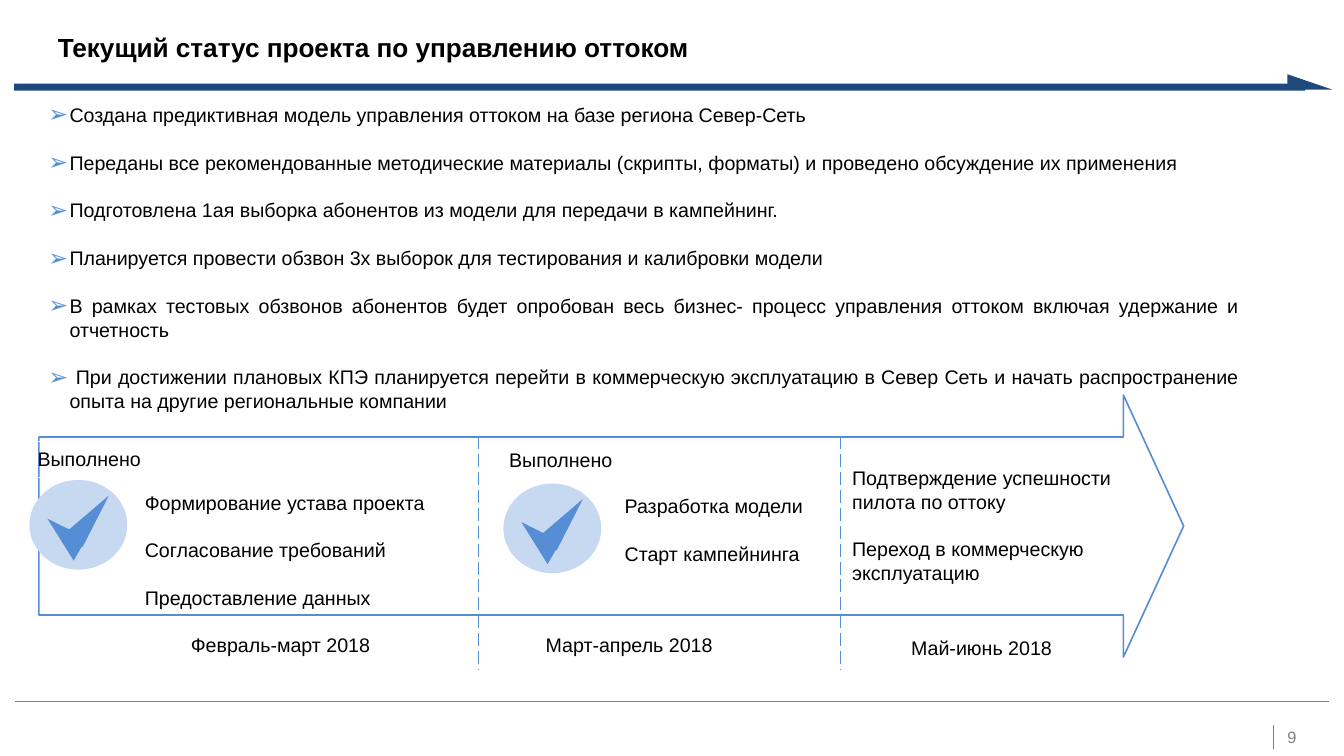
from dataclasses import dataclass
from typing import Optional

from lxml.etree import SubElement
from pptx import Presentation
from pptx.dml.color import RGBColor
from pptx.enum.dml import MSO_LINE
from pptx.enum.shapes import MSO_CONNECTOR, MSO_SHAPE as Geo
from pptx.enum.text import MSO_ANCHOR as Anchor, MSO_AUTO_SIZE, PP_ALIGN as Align
from pptx.oxml.ns import qn
from pptx.util import Pt

PX = 9144  # 100 px to the inch


# Colours and type sizes
@dataclass(frozen=True)
class Theme:
    font: str = "Arial"
    ink: str = "000000"
    white: str = "FFFFFF"
    navy: str = "1F497D"
    blue: str = "558ED5"
    pale: str = "C6D9F1"
    rule: str = "7F7F7F"
    number: str = "808080"
    title_size: int = 16
    text_size: int = 12
    number_size: int = 10
    gap: float = 14.8


THEME = Theme()


@dataclass(frozen=True)
class Box:
    left: int
    top: int
    width: int
    height: int

    def emu(self) -> tuple[int, ...]:
        return tuple(v * PX for v in (self.left, self.top, self.width, self.height))


@dataclass(frozen=True)
class Note:
    box: Box
    lines: tuple[str, ...]


@dataclass(frozen=True)
class Rule:
    start: tuple[int, int]
    end: tuple[int, int]
    color: str
    weight: float
    dash: Optional[MSO_LINE] = None


@dataclass(frozen=True)
class Mark:
    geometry: Geo
    box: Box
    color: str
    rotation: float = 0
    adjust: Optional[float] = None


# Content
TITLE = "Текущий статус проекта по управлению оттоком"
STATUS = (
    "Создана предиктивная модель управления оттоком на базе региона Север-Сеть",
    "Переданы все рекомендованные методические материалы (скрипты, форматы) и проведено обсуждение их применения",
    "Подготовлена 1ая выборка абонентов из модели для передачи в кампейнинг.",
    "Планируется провести обзвон 3х выборок для тестирования и калибровки модели",
    "В рамках тестовых обзвонов абонентов будет опробован весь бизнес- процесс управления оттоком "
    "включая удержание и отчетность",
    " При достижении плановых КПЭ планируется перейти в коммерческую эксплуатацию в Север Сеть "
    "и начать распространение опыта на другие региональные компании",
)
STAGES = (
    Note(Box(520, 414, 229, 69), ("Разработка модели", "Старт кампейнинга")),
    Note(Box(713, 390, 253, 91),
         ("Подтверждение успешности пилота по оттоку", "Переход в коммерческую эксплуатацию")),
)
FIRST_STAGE = Note(Box(113, 411, 258, 104),
                   ("Формирование устава проекта", "Согласование требований", "Предоставление данных"))
DATES = (
    Note(Box(152, 532, 208, 36), ("Февраль-март 2018",)),
    Note(Box(453, 532, 200, 36), ("Март-апрель 2018",)),
    Note(Box(763, 534, 184, 36), ("Май-июнь 2018",)),
)
DONE = tuple(Note(Box(x, y, 108, 31), ("Выполнено",)) for x, y in ((22, 374), (422, 375)))
FOOTER_RULES = (
    Rule((1080, 615), (1080, 635), THEME.rule, 0.75),
    Rule((13, 595), (1127, 595), THEME.rule, 0.75),
)
STAGE_BORDERS = tuple(
    Rule((x, 370), (x, 568), THEME.blue, 1, MSO_LINE.LONG_DASH) for x in (406, 713))
HEADER_ARROW = (
    Mark(Geo.RECTANGLE, Box(12, 71, 1095, 6), THEME.navy),
    Mark(Geo.ISOSCELES_TRIANGLE, Box(1092, 63, 38, 13), THEME.navy, adjust=0),
)


def check_mark(x: int, y: int) -> tuple[Mark, ...]:
    return (
        Mark(Geo.OVAL, Box(x, y, 83, 76), THEME.pale),
        Mark(Geo.ISOSCELES_TRIANGLE, Box(x + 43, y + 8, 19, 48), THEME.blue, 38.3),
        Mark(Geo.ISOSCELES_TRIANGLE, Box(x + 16, y + 31, 22, 37), THEME.blue, 300.2, 0.89),
    )


# Drawing
def apply(target, values: dict) -> None:
    for name, value in values.items():
        setattr(target, name, value)


def place(shape, box: Box) -> None:
    apply(shape, dict(zip(("left", "top", "width", "height"), box.emu())))


def outline(shape, color: str, weight: float) -> None:
    shape.line.color.rgb = RGBColor.from_string(color)
    shape.line.width = Pt(weight)


def write(frame, lines: tuple[str, ...], size: int = THEME.text_size, color: str = THEME.ink,
          bold: bool = False, align: Align = Align.LEFT, anchor: Anchor = Anchor.TOP,
          inset: tuple[int, int] = (10, 5)) -> None:
    side, edge = (v * PX for v in inset)
    apply(frame, {"word_wrap": True, "auto_size": MSO_AUTO_SIZE.NONE, "vertical_anchor": anchor,
                  "margin_left": side, "margin_right": side,
                  "margin_top": edge, "margin_bottom": edge})
    for i, line in enumerate(lines):
        paragraph = frame.add_paragraph() if i else frame.paragraphs[0]
        apply(paragraph, {"alignment": align, "space_before": Pt(THEME.gap if i else 0)})
        run = paragraph.add_run()
        run.text = line
        apply(run.font, {"name": THEME.font, "size": Pt(size), "bold": bold})
        run.font.color.rgb = RGBColor.from_string(color)


def add_bullets(frame) -> None:
    for paragraph in frame.paragraphs:
        props = paragraph._p.get_or_add_pPr()
        props.set("marL", str(18 * PX))
        props.set("indent", str(-18 * PX))
        SubElement(SubElement(props, qn("a:buClr")), qn("a:srgbClr"), val=THEME.blue)
        SubElement(props, qn("a:buSzPct"), val="120000")
        SubElement(props, qn("a:buFont"), typeface=THEME.font)
        SubElement(props, qn("a:buChar"), char="➢")


def add_note(slide, note: Note) -> None:
    shape = slide.shapes.add_textbox(*note.box.emu())
    outline(shape, THEME.white, 0.5)
    write(shape.text_frame, note.lines)


def add_rule(slide, rule: Rule) -> None:
    ends = (v * PX for v in rule.start + rule.end)
    line = slide.shapes.add_connector(MSO_CONNECTOR.STRAIGHT, *ends)
    outline(line, rule.color, rule.weight)
    if rule.dash:
        line.line.dash_style = rule.dash
    SubElement(line._element.spPr, qn("a:effectLst"))


def add_marks(slide, marks: tuple[Mark, ...]) -> None:
    group = slide.shapes.add_group_shape()
    for mark in marks:
        shape = group.shapes.add_shape(mark.geometry, *mark.box.emu())
        shape.shadow.inherit = False
        shape.fill.solid()
        shape.fill.fore_color.rgb = RGBColor.from_string(mark.color)
        shape.line.fill.background()
        shape.rotation = mark.rotation
        if mark.adjust is not None:
            shape.adjustments[0] = mark.adjust


def main() -> None:
    deck = Presentation()
    apply(deck, {"slide_width": 1140 * PX, "slide_height": 641 * PX})
    slide = deck.slides.add_slide(deck.slide_layouts[1])

    # Title, page number and status list
    title, status = slide.placeholders
    place(title, Box(49, 26, 1063, 27))
    write(title.text_frame, (TITLE,), THEME.title_size, bold=True, anchor=Anchor.BOTTOM, inset=(0, 0))
    for rule in FOOTER_RULES:
        add_rule(slide, rule)
    page = slide.shapes.add_textbox(*Box(1092, 616, 48, 17).emu())
    write(page.text_frame, ("9",), THEME.number_size, THEME.number, anchor=Anchor.MIDDLE, inset=(0, 0))
    place(status, Box(31, 82, 1031, 267))
    outline(status, THEME.white, 0.5)
    write(status.text_frame, STATUS, align=Align.JUSTIFY)
    add_bullets(status.text_frame)

    # Timeline arrow with its stages
    timeline = slide.shapes.add_shape(Geo.RIGHT_ARROW, *Box(33, 335, 971, 222).emu())
    timeline.shadow.inherit = False
    timeline.fill.background()
    outline(timeline, THEME.blue, 1)
    timeline.adjustments[0], timeline.adjustments[1] = 0.68, 0.23
    for stage in STAGES:
        add_note(slide, stage)
    for border in STAGE_BORDERS:
        add_rule(slide, border)
    for note in (FIRST_STAGE, *DATES, *DONE):
        add_note(slide, note)

    # Check marks and header arrow
    for marks in (check_mark(25, 407), check_mark(427, 410), HEADER_ARROW):
        add_marks(slide, marks)
    deck.save("out.pptx")


if __name__ == "__main__":
    main()
